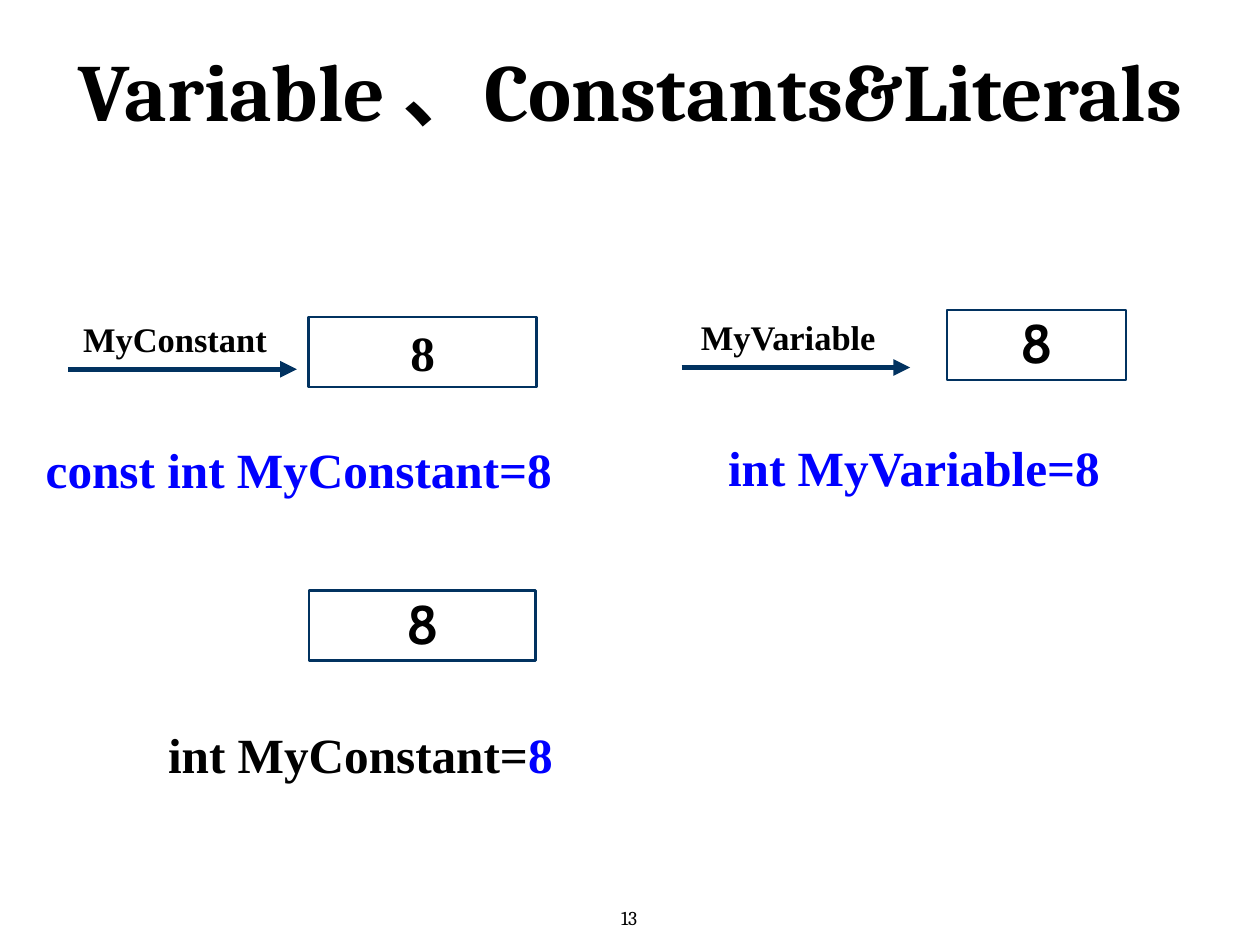
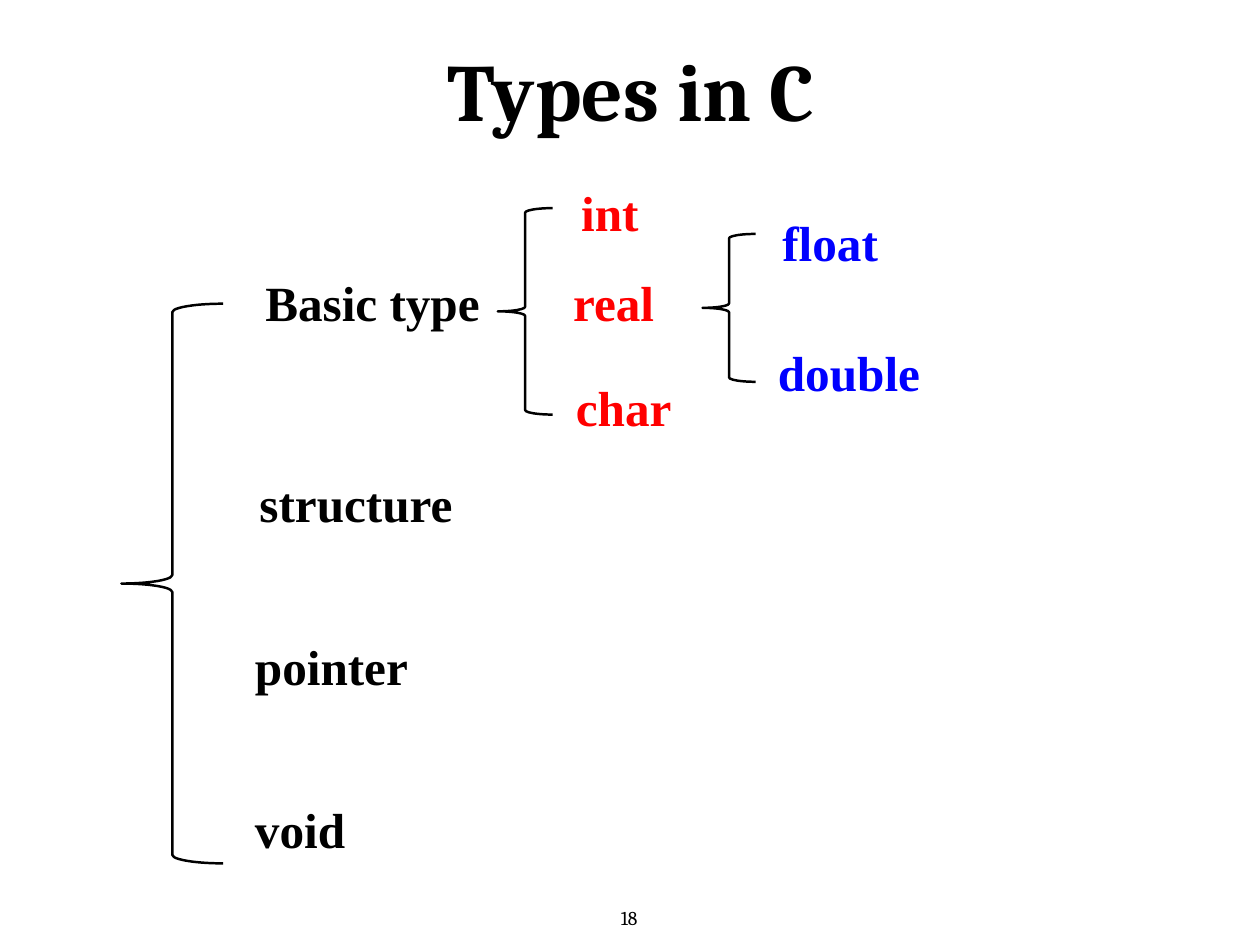
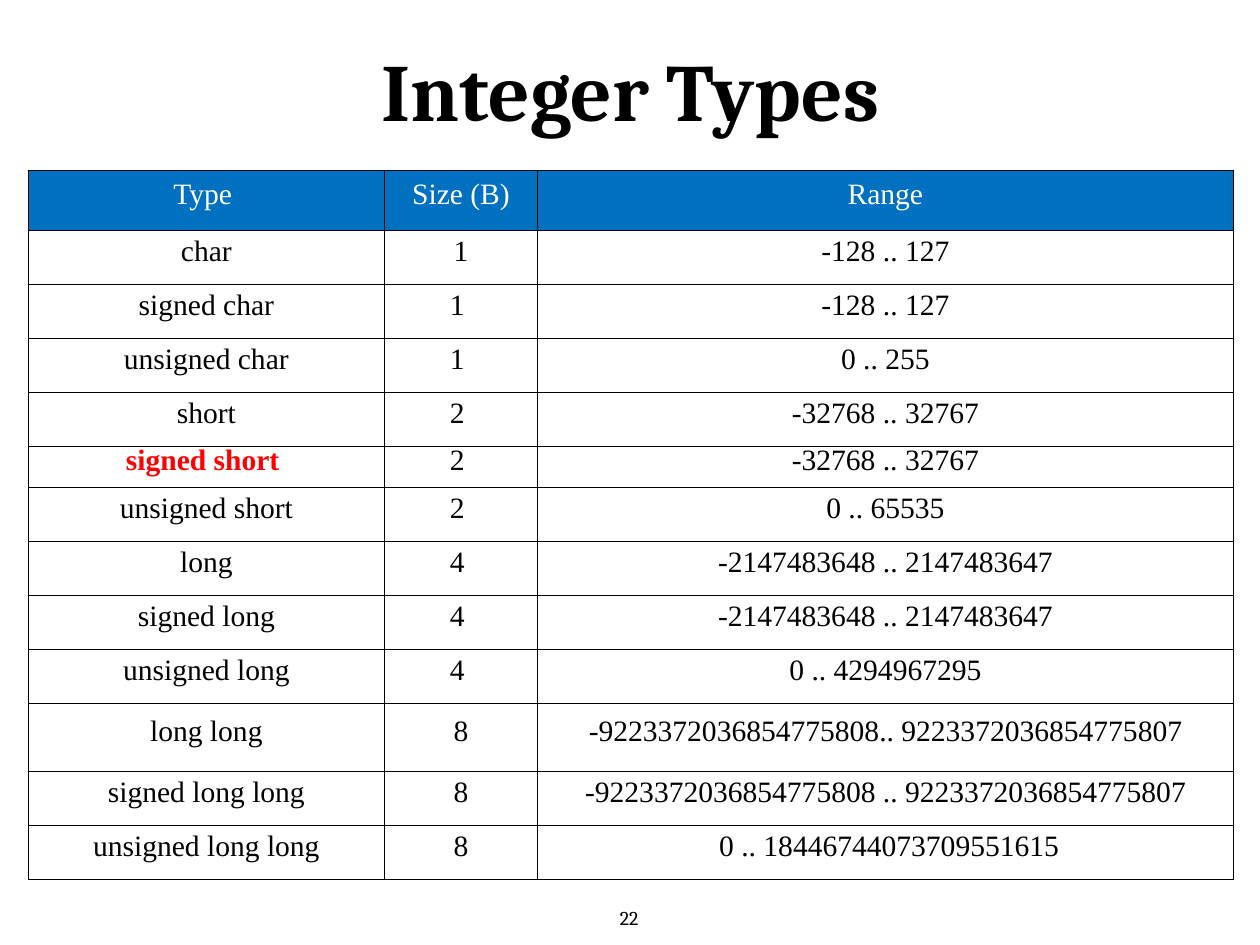
from lxml import etree
from pptx import Presentation
from pptx.dml.color import RGBColor
from pptx.enum.shapes import MSO_CONNECTOR, MSO_SHAPE
from pptx.enum.text import MSO_ANCHOR, PP_ALIGN
from pptx.oxml import parse_xml
from pptx.oxml.ns import nsdecls, qn
from pptx.util import Cm, Pt

BLACK = RGBColor(0x00, 0x00, 0x00)
WHITE = RGBColor(0xFF, 0xFF, 0xFF)
RED = RGBColor(0xFF, 0x00, 0x00)
BLUE = RGBColor(0x00, 0x00, 0xFF)
NAVY = RGBColor(0x01, 0x32, 0x60)
HEADER_BLUE = RGBColor(0x00, 0x70, 0xC0)

SERIF = "Times New Roman"
HEADING = "Cambria"
SANS = "Cabin"

LINE_HEIGHT = 2.01
COLUMN_WIDTHS = (10.21, 4.39, 19.94)
ROW_HEIGHT = 1.55
SPECIAL_HEIGHTS = {0: 1.70, 5: 1.17, 10: 1.96}
INTEGER_TYPES = (
    ("Type ", "Size (B)", "Range"),
    ("char", "1", "-128 .. 127"),
    ("signed char", "1 ", "-128 .. 127"),
    ("unsigned char", "1 ", "0 .. 255"),
    ("short", "2 ", "-32768 .. 32767"),
    ("signed short ", "2 ", "-32768 .. 32767"),
    ("unsigned short", "2 ", "0 .. 65535"),
    ("long", "4 ", "-2147483648 .. 2147483647"),
    ("signed long", "4 ", "-2147483648 .. 2147483647"),
    ("unsigned long", "4 ", "0 .. 4294967295"),
    ("long long", "8", "-9223372036854775808.. 9223372036854775807"),
    ("signed long long", "8", "-9223372036854775808 .. 9223372036854775807"),
    ("unsigned long long", "8", " 0 .. 18446744073709551615"),
)


def write(frame, *parts, size=40, font=SERIF, color=BLACK, bold=True,
          align=PP_ALIGN.CENTER, spacing=48):
    """Write one paragraph; a part is a text or a (text, color) pair."""
    paragraph = frame.paragraphs[0]
    paragraph.alignment = align
    paragraph.line_spacing = Pt(spacing)
    for part in parts:
        text, part_color = (part, color) if isinstance(part, str) else part
        run = paragraph.add_run()
        run.text = text
        run.font.size = Pt(size)
        run.font.name = font
        run.font.bold = bold
        run.font.color.rgb = part_color


def set_frame(frame, inset=0.15, anchor=MSO_ANCHOR.MIDDLE, wrap=True):
    """Set the margins, anchor and wrapping of a text frame."""
    frame.margin_left = frame.margin_right = Cm(inset)
    frame.margin_top = frame.margin_bottom = Cm(inset)
    frame.vertical_anchor = anchor
    frame.word_wrap = wrap


def add_label(slide, left, top, width, *parts, height=LINE_HEIGHT,
              inset=0.15, wrap=True, **text_format):
    """Add a text box with one formatted paragraph."""
    label = slide.shapes.add_textbox(Cm(left), Cm(top), Cm(width), Cm(height))
    set_frame(label.text_frame, inset=inset, wrap=wrap)
    write(label.text_frame, *parts, **text_format)


def add_outline(slide, preset, left, top, width, height, color, weight):
    """Add an unfilled preset shape."""
    outline = slide.shapes.add_shape(preset, Cm(left), Cm(top), Cm(width), Cm(height))
    outline.shadow.inherit = False
    outline.fill.background()
    outline.line.color.rgb = color
    outline.line.width = Pt(weight)
    return outline


def add_memory_cell(slide, left, top, width, value, **text_format):
    """Add a box that holds a stored value."""
    cell = add_outline(slide, MSO_SHAPE.RECTANGLE, left, top, width, LINE_HEIGHT, NAVY, 2.25)
    set_frame(cell.text_frame)
    write(cell.text_frame, value, **text_format)


def add_named_arrow(slide, left, top, name):
    """Add an identifier with an arrow beneath it."""
    add_label(slide, left, top, 6.17, name, size=28)
    y = Cm(top + 2.13)
    arrow = slide.shapes.add_connector(
        MSO_CONNECTOR.STRAIGHT, Cm(left + 0.03), y, Cm(left + 6.58), y)
    arrow.line.color.rgb = NAVY
    arrow.line.width = Pt(4.5)
    head = etree.SubElement(arrow.line._get_or_add_ln(), qn("a:tailEnd"))
    head.set("type", "triangle")
    etree.SubElement(arrow._element.spPr, qn("a:effectLst"))


def add_brace(slide, left, top, width, height):
    """Add a left brace that gathers a set of types."""
    add_outline(slide, MSO_SHAPE.LEFT_BRACE, left, top, width, height, BLACK, 2)


def add_cell_borders(cell):
    """Draw thin black lines on all sides of a table cell."""
    properties = cell._tc.get_or_add_tcPr()
    for side in "LRTB":
        properties.append(parse_xml(
            f'<a:ln{side} {nsdecls("a")} w="12700"><a:solidFill>'
            f'<a:srgbClr val="{BLACK}"/></a:solidFill></a:ln{side}>'))


def add_type_table(slide, rows):
    """Add the table of integer types."""
    heights = [SPECIAL_HEIGHTS.get(r, ROW_HEIGHT) for r in range(len(rows))]
    table = slide.shapes.add_table(
        len(rows), len(COLUMN_WIDTHS), Cm(0.81), Cm(4.9),
        Cm(sum(COLUMN_WIDTHS)), Cm(sum(heights))).table
    for column, width in zip(table.columns, COLUMN_WIDTHS):
        column.width = Cm(width)
    for r, (row, height) in enumerate(zip(rows, heights)):
        table.rows[r].height = Cm(height)
        for c, text in enumerate(row):
            cell = table.cell(r, c)
            cell.vertical_anchor = MSO_ANCHOR.MIDDLE
            add_cell_borders(cell)
            if r == 0:
                cell.fill.solid()
                cell.fill.fore_color.rgb = HEADER_BLUE
            else:
                cell.fill.background()
            marked = text == "signed short "
            color = WHITE if r == 0 else RED if marked else BLACK
            write(cell.text_frame, text, size=24, color=color, bold=marked, spacing=17)


def add_slide(deck, title, number):
    """Add a slide with its title and page number."""
    slide = deck.slides.add_slide(deck.slide_layouts[6])
    add_label(slide, 0.03, 0.15, 36.09, title, height=4.24, inset=0,
              size=66, font=HEADING, spacing=96)
    add_label(slide, 17.63, 25.88, 0.81, str(number), height=0.89, inset=0.1,
              wrap=False, size=16, font=HEADING, bold=False, spacing=19)
    return slide


def build_constants(deck):
    """Build the slide on variables, constants and literals."""
    slide = add_slide(deck, "Variable 、Constants&Literals", 13)
    add_memory_cell(slide, 8.84, 9.09, 6.55, "8")
    add_memory_cell(slide, 27.15, 8.89, 5.13, "8", size=44, font=SANS)
    add_memory_cell(slide, 8.86, 16.94, 6.5, "8", size=44, font=SANS)
    add_named_arrow(slide, 1.93, 8.46, "MyConstant")
    add_named_arrow(slide, 19.51, 8.41, "MyVariable")
    add_label(slide, 0.97, 12.43, 15.19, "const int MyConstant=8", wrap=False, color=BLUE)
    add_label(slide, 17.22, 12.38, 17.96, "int MyVariable=8", color=BLUE)
    add_label(slide, 4.5, 20.6, 11.66, "int MyConstant=", ("8", BLUE), wrap=False)


def build_types(deck):
    """Build the slide with the tree of C types."""
    slide = add_slide(deck, "Types in C", 18)
    for brace in ((3.48, 8.71, 2.92, 16.05), (14.27, 5.97, 1.57, 5.92),
                  (20.14, 6.71, 1.52, 4.24)):
        add_brace(slide, *brace)
    add_label(slide, 7.16, 7.65, 7.04, "Basic type")
    for name, left, top, color in (
            ("structure", 7.29, 13.41, BLACK), ("pointer", 7.16, 18.08, BLACK),
            ("void", 7.16, 22.76, BLACK), ("int", 16.51, 5.08, RED),
            ("real", 16.28, 7.65, RED), ("char", 16.36, 10.67, RED),
            ("float", 22.28, 5.92, BLUE), ("double", 22.15, 9.65, BLUE)):
        add_label(slide, left, top, 6.5, name, color=color, align=PP_ALIGN.LEFT)


def build_integers(deck):
    """Build the slide with sizes and ranges of integer types."""
    add_type_table(add_slide(deck, "Integer Types", 22), INTEGER_TYPES)


def main():
    """Build and save the deck."""
    deck = Presentation()
    deck.slide_width, deck.slide_height = Cm(36.12), Cm(27.1)
    build_constants(deck)
    build_types(deck)
    build_integers(deck)
    deck.save("out.pptx")


if __name__ == "__main__":
    main()
